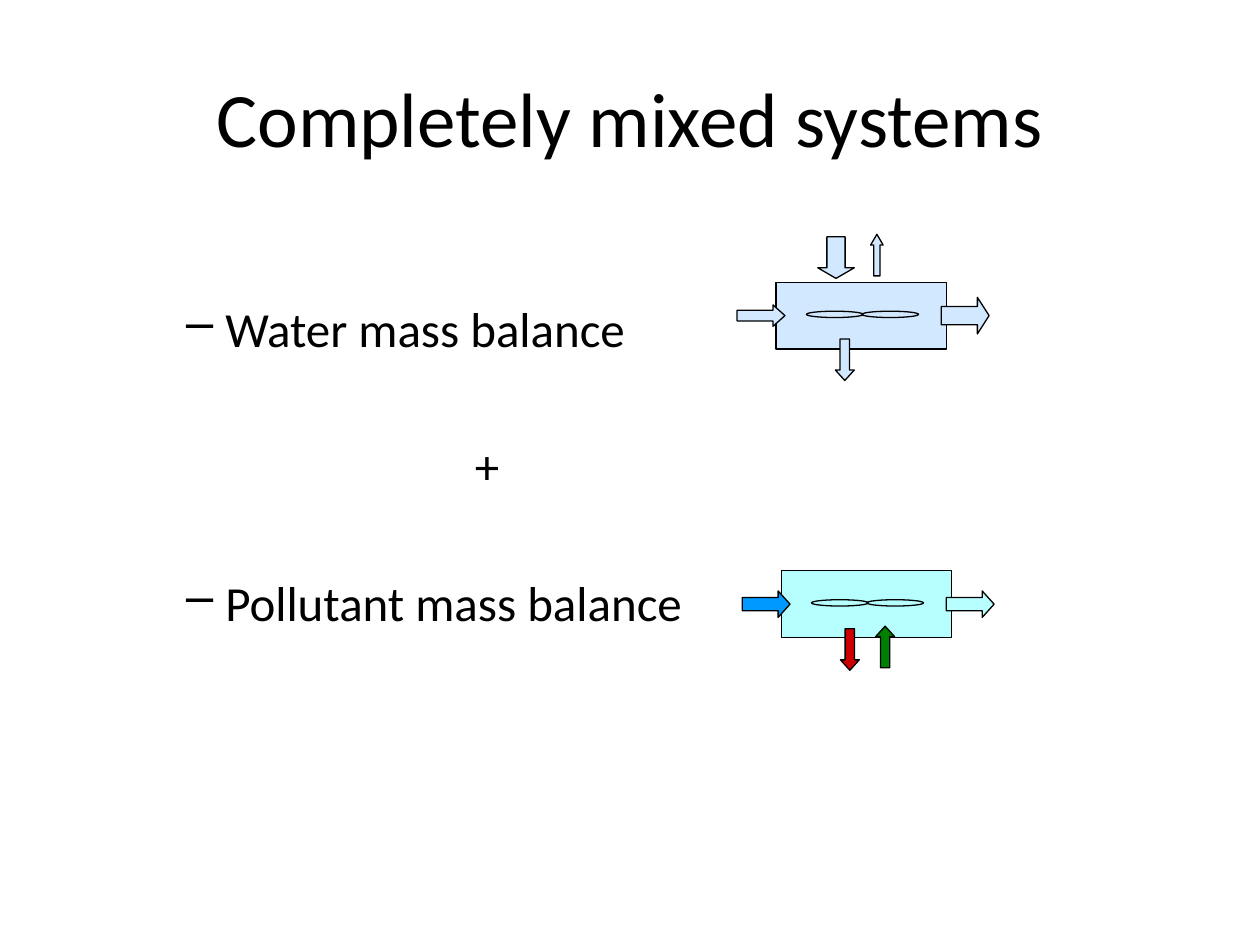
from lxml.etree import SubElement
from pptx import Presentation
from pptx.dml.color import RGBColor
from pptx.enum.shapes import MSO_SHAPE
from pptx.enum.text import MSO_ANCHOR, PP_ALIGN
from pptx.oxml.ns import qn
from pptx.util import Inches, Pt

COLORS = {
    "black": "000000",
    "water": "D1E8FF",
    "polluted": "B7FFFF",
    "inflow": "0099FF",
    "loss": "CC0000",
    "source": "008000",
}
TANK_WIDTH, TANK_HEIGHT = 1.35, 0.53
ARROW_LENGTH = {MSO_SHAPE.RIGHT_ARROW: 0.38, MSO_SHAPE.DOWN_ARROW: 0.33, MSO_SHAPE.UP_ARROW: 0.33}


def color(name):
    return RGBColor.from_string(COLORS[name])


def add_text_box(page, left, top, width, height):
    box = page.shapes.add_textbox(Inches(left), Inches(top), Inches(width), Inches(height))
    box.text_frame.word_wrap = True
    return box.text_frame


def style_paragraph(para, text, size):
    para.text = text
    para.font.name = "Calibri"
    para.font.size = Pt(size)
    para.font.color.rgb = color("black")


def add_title(page, text):
    frame = add_text_box(page, 0.5, 0.3, 9, 1.25)
    frame.vertical_anchor = MSO_ANCHOR.MIDDLE
    para = frame.paragraphs[0]
    style_paragraph(para, text, 44)
    para.alignment = PP_ALIGN.CENTER


def set_indent(para, margin, hanging=0, bullet=None):
    properties = para._p.get_or_add_pPr()
    properties.set("marL", str(Inches(margin)))
    properties.set("indent", str(Inches(-hanging)))
    if bullet:
        SubElement(properties, qn("a:buChar")).set("char", bullet)


def add_balances(page, first, second):
    frame = add_text_box(page, 0.88, 1.07, 8.8, 6.49)
    frame.margin_top = Inches(1.3)
    for index, text in enumerate((first, "+", second)):
        para = frame.add_paragraph() if index else frame.paragraphs[0]
        style_paragraph(para, text, 28)
        para.space_before = Pt(44.5 if index else 0)
        if text == "+":
            set_indent(para, 2.79)
        else:
            set_indent(para, 0.81, 0.31, "–")


def add_outlined(page, kind, left, top, width, height, fill=None):
    shape = page.shapes.add_shape(kind, Inches(left), Inches(top), Inches(width), Inches(height))
    shape.shadow.inherit = False
    shape.line.color.rgb = color("black")
    shape.line.width = Pt(0.75)
    if fill:
        shape.fill.solid()
        shape.fill.fore_color.rgb = color(fill)
    else:
        shape.fill.background()
    return shape


def add_tank(page, left, top, fill):
    """Draw a tank with its two-bladed stirrer."""
    add_outlined(page, MSO_SHAPE.RECTANGLE, left, top, TANK_WIDTH, TANK_HEIGHT, fill)
    for blade in range(2):
        add_outlined(page, MSO_SHAPE.OVAL, left + 0.24 + blade * 0.44, top + 0.23, 0.45, 0.05)


def add_arrow(page, kind, left, top, thickness, head, fill):
    length = ARROW_LENGTH[kind]
    size = (length, thickness) if kind == MSO_SHAPE.RIGHT_ARROW else (thickness, length)
    arrow = add_outlined(page, kind, left, top, *size, fill)
    arrow.adjustments[0] = 0.5
    arrow.adjustments[1] = head


def add_side_arrow(page, left, tank_top, thickness, head, fill):
    top = tank_top + (TANK_HEIGHT - thickness) / 2
    add_arrow(page, MSO_SHAPE.RIGHT_ARROW, left, top, thickness, head, fill)


def add_water_system(page, left, top):
    add_tank(page, left, top, "water")
    add_side_arrow(page, left - 0.31, top, 0.17, 0.56, "water")
    add_side_arrow(page, left + 1.31, top, 0.29, 0.32, "water")
    add_arrow(page, MSO_SHAPE.DOWN_ARROW, left + 0.47, top + 0.45, 0.15, 0.55, "water")
    add_arrow(page, MSO_SHAPE.DOWN_ARROW, left + 0.33, top - 0.36, 0.29, 0.29, "water")
    add_arrow(page, MSO_SHAPE.UP_ARROW, left + 0.75, top - 0.38, 0.1, 0.86, "water")


def add_pollutant_system(page, left, top):
    add_tank(page, left, top, "polluted")
    add_side_arrow(page, left - 0.31, top, 0.21, 0.45, "inflow")
    add_side_arrow(page, left + 1.31, top, 0.21, 0.45, "polluted")
    add_arrow(page, MSO_SHAPE.DOWN_ARROW, left + 0.47, top + 0.46, 0.15, 0.55, "loss")
    add_arrow(page, MSO_SHAPE.UP_ARROW, left + 0.75, top + 0.44, 0.15, 0.55, "source")


def main():
    deck = Presentation()
    deck.slide_width, deck.slide_height = Inches(10), Inches(7.5)
    page = deck.slides.add_slide(deck.slide_layouts[6])
    add_title(page, "Completely mixed systems")
    add_balances(page, "Water mass balance", "Pollutant mass balance")
    add_pollutant_system(page, 6.2, 4.53)
    add_water_system(page, 6.16, 2.24)
    deck.save("out.pptx")


if __name__ == "__main__":
    main()
